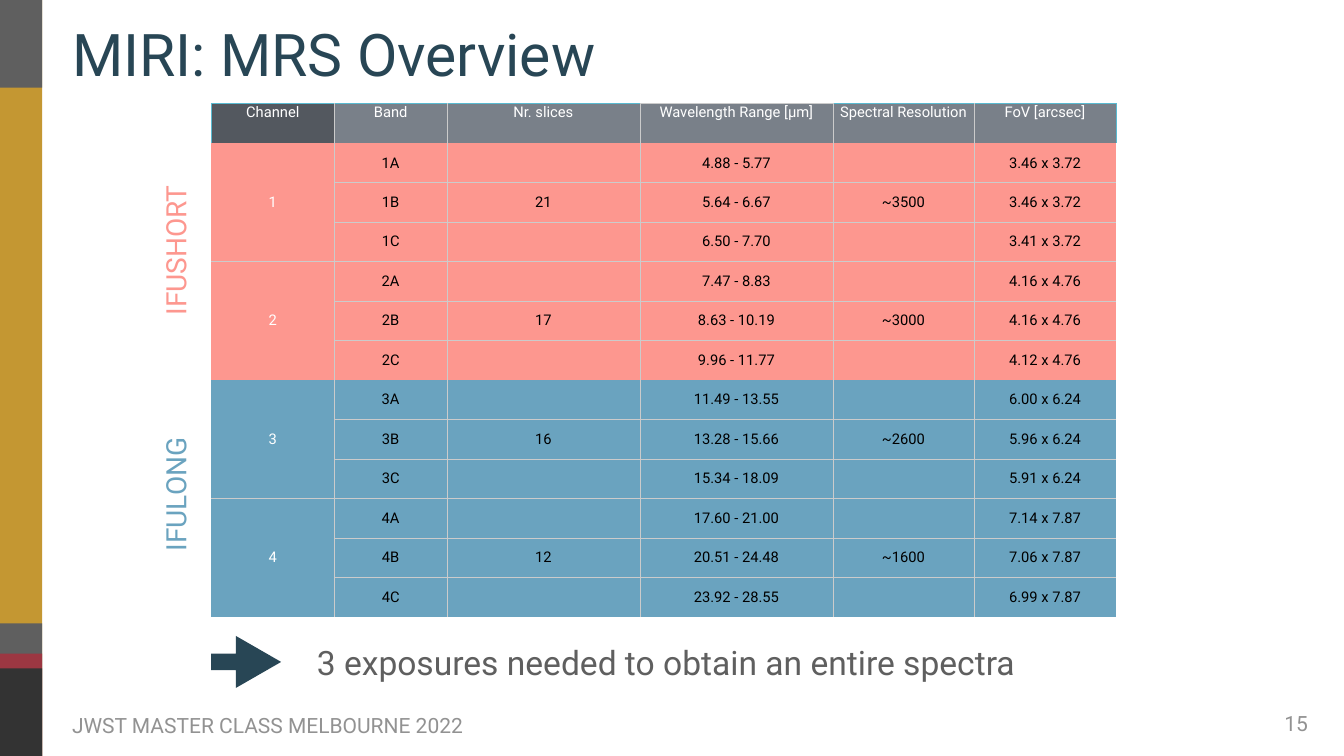
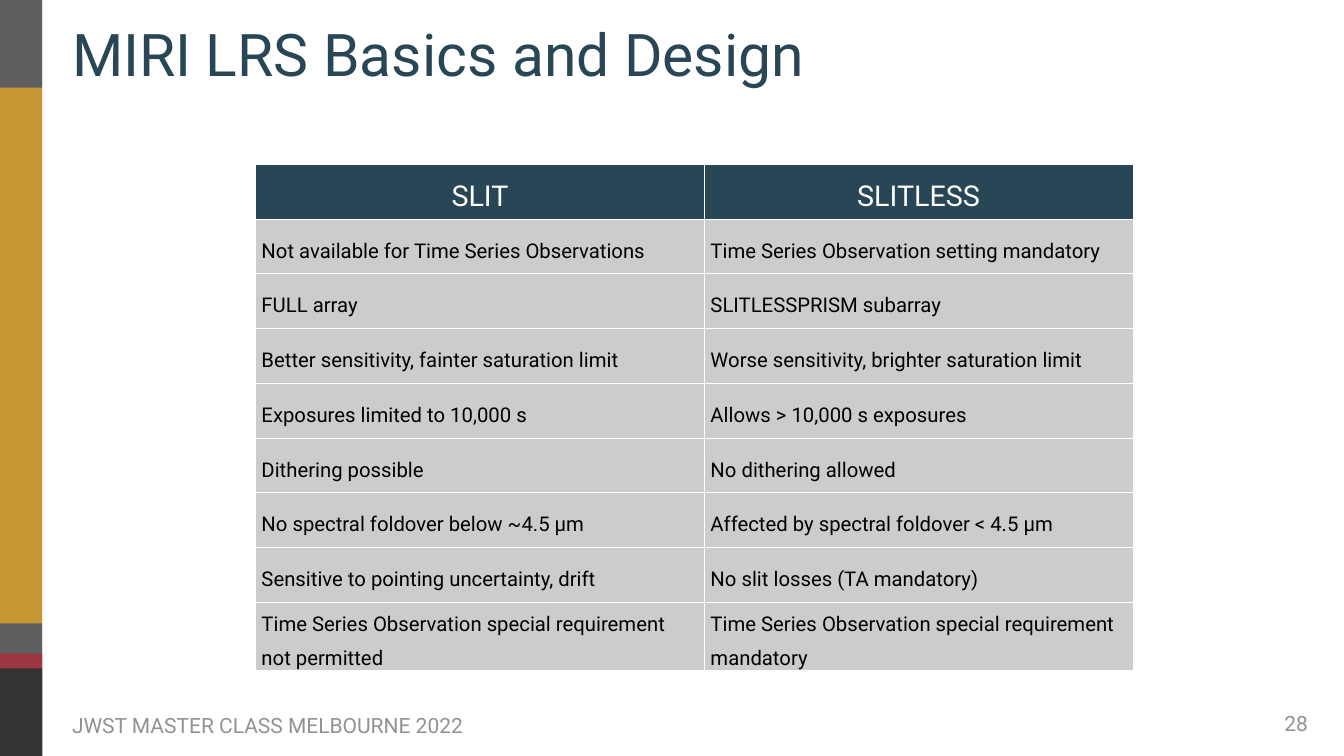
"""Build two MIRI spectroscopy slides with shared bands, title and footer."""
from dataclasses import dataclass
from typing import Callable, Optional

from lxml.etree import SubElement
from pptx import Presentation
from pptx.dml.color import RGBColor
from pptx.enum.shapes import MSO_SHAPE
from pptx.enum.text import MSO_ANCHOR, MSO_AUTO_SIZE, PP_ALIGN
from pptx.oxml.ns import qn
from pptx.util import Cm, Pt

FONT = "Roboto"
COLORS = {
    "white": "FFFFFF", "black": "000000", "navy": "284655", "gold": "C49732",
    "grey": "5F5F5F", "red": "9C3742", "charcoal": "333333", "muted": "929292",
    "header": "798089", "channel_header": "53585F", "short": "FD978F",
    "long": "6AA3BF", "grid": "CBCBCB", "header_edge": "59BAD1", "cell": "CCCCCC",
}
FOOTER = "JWST MASTER CLASS MELBOURNE 2022"
MRS_HEADINGS = ("Channel", "Band", "Nr. slices", "Wavelength Range [μm]",
                "Spectral Resolution", "FoV [arcsec]")
LRS_ROWS = (
    ("SLIT", "SLITLESS"),
    ("Not available for Time Series Observations", "Time Series Observation setting mandatory"),
    ("FULL array", "SLITLESSPRISM subarray"),
    ("Better sensitivity, fainter saturation limit", "Worse sensitivity, brighter saturation limit"),
    ("Exposures limited to 10,000 s", "Allows > 10,000 s exposures"),
    ("Dithering possible", "No dithering allowed"),
    ("No spectral foldover below ~4.5 µm", "Affected by spectral foldover < 4.5 µm"),
    ("Sensitive to pointing uncertainty, drift", "No slit losses (TA mandatory)"),
    ("Time Series Observation special requirement not permitted",
     "Time Series Observation special requirement mandatory"),
)


@dataclass(frozen=True)
class Box:
    """Position and size in centimetres."""
    left: float
    top: float
    width: float
    height: float

    def lengths(self) -> tuple:
        """Return the four values as lengths."""
        return Cm(self.left), Cm(self.top), Cm(self.width), Cm(self.height)


@dataclass(frozen=True)
class Band:
    """One coloured part of the left edge."""
    color: str
    top: float
    height: float


@dataclass(frozen=True)
class Label:
    """A single line of free text."""
    text: str
    box: Box
    size: float
    color: str
    align: PP_ALIGN = PP_ALIGN.LEFT
    anchor: MSO_ANCHOR = MSO_ANCHOR.MIDDLE
    rotation: float = 0


@dataclass(frozen=True)
class Channel:
    """One spectrometer channel with its three bands."""
    number: int
    detector: str
    slices: str
    resolution: str
    wavelengths: tuple
    fields: tuple


@dataclass(frozen=True)
class CellStyle:
    """Look of a table cell, with margins in centimetres."""
    fill: str
    color: str
    size: float
    align: PP_ALIGN = PP_ALIGN.CENTER
    anchor: MSO_ANCHOR = MSO_ANCHOR.MIDDLE
    side: float = 0.18
    edge: float = 0
    spacing: Optional[float] = None


BANDS = (
    Band("gold", 0, 38.1), Band("grey", 31.42, 6.68), Band("red", 32.94, 5.16),
    Band("charcoal", 33.68, 4.42), Band("grey", 0, 4.42),
)
CHANNELS = (
    Channel(1, "short", "21", "~3500", ("4.88 - 5.77", "5.64 - 6.67", "6.50 - 7.70"),
            ("3.46 x 3.72", "3.46 x 3.72", "3.41 x 3.72")),
    Channel(2, "short", "17", "~3000", ("7.47 - 8.83", "8.63 - 10.19", "9.96 - 11.77"),
            ("4.16 x 4.76", "4.16 x 4.76", "4.12 x 4.76")),
    Channel(3, "long", "16", "~2600", ("11.49 - 13.55", "13.28 - 15.66", "15.34 - 18.09"),
            ("6.00 x 6.24", "5.96 x 6.24", "5.91 x 6.24")),
    Channel(4, "long", "12", "~1600", ("17.60 - 21.00", "20.51 - 24.48", "23.92 - 28.55"),
            ("7.14 x 7.87", "7.06 x 7.87", "6.99 x 7.87")),
)
MRS_LABELS = (
    Label("IFUSHORT", Box(5.21, 11.51, 7.24, 2.24), 40, "short", PP_ALIGN.CENTER, rotation=270),
    Label("IFULONG", Box(5.49, 23.8, 6.68, 2.24), 40, "long", PP_ALIGN.CENTER, rotation=270),
    Label("3 exposures needed to obtain an entire spectra",
          Box(15.82, 32.05, 36.09, 2.62), 48, "grey"),
)


def rgb(name: str) -> RGBColor:
    """Look up a palette colour."""
    return RGBColor.from_string(COLORS[name])


def add_text(paragraph, text: str, size: float, color: str, align: PP_ALIGN) -> None:
    """Add one formatted run to a paragraph."""
    paragraph.alignment = align
    run = paragraph.add_run()
    run.text = text
    run.font.name, run.font.size, run.font.bold = FONT, Pt(size), False
    run.font.color.rgb = rgb(color)


def set_frame(frame, anchor: MSO_ANCHOR, wrap: bool, fit: MSO_AUTO_SIZE) -> None:
    """Set the margins and flow of a text frame."""
    frame.margin_left = frame.margin_right = frame.margin_top = frame.margin_bottom = Cm(0.15)
    frame.vertical_anchor, frame.word_wrap, frame.auto_size = anchor, wrap, fit


def add_label(slide, label: Label) -> None:
    """Draw a free text label."""
    text_area = slide.shapes.add_textbox(*label.box.lengths())
    text_area.rotation = label.rotation
    set_frame(text_area.text_frame, label.anchor, False, MSO_AUTO_SIZE.SHAPE_TO_FIT_TEXT)
    add_text(text_area.text_frame.paragraphs[0], label.text, label.size, label.color, label.align)


def add_solid(shapes, preset: MSO_SHAPE, box: Box, color: str):
    """Draw a plain filled shape without outline."""
    solid = shapes.add_shape(preset, *box.lengths())
    solid.shadow.inherit = False
    solid.fill.solid()
    solid.fill.fore_color.rgb = rgb(color)
    solid.line.fill.background()
    return solid


def start_slide(deck, heading: str, number: int):
    """Add a slide with its bands, footer, number and title."""
    slide = deck.slides.add_slide(deck.slide_layouts[5])
    edge = slide.shapes.add_group_shape()
    for band in BANDS:
        add_solid(edge.shapes, MSO_SHAPE.RECTANGLE,
                  Box(-0.03, band.top, 2.16, band.height), band.color)
    add_label(slide, Label(FOOTER, Box(3.48, 35.74, 21.23, 1.57), 30, "muted"))
    add_label(slide, Label(str(number), Box(64.54, 35.66, 1.57, 1.73), 30, "muted",
                           PP_ALIGN.CENTER, MSO_ANCHOR.TOP))
    title = slide.shapes.title
    title.left, title.top, title.width, title.height = Box(3.48, 0.48, 53.64, 4.42).lengths()
    set_frame(title.text_frame, MSO_ANCHOR.MIDDLE, True, MSO_AUTO_SIZE.NONE)
    add_text(title.text_frame.paragraphs[0], heading, 84, "navy", PP_ALIGN.LEFT)
    return slide


def add_grid(slide, left: float, top: float, widths: tuple, row_height: float, row_count: int):
    """Add an unbanded table with the given columns and equal rows."""
    box = Box(left, top, sum(widths), row_height * row_count)
    grid = slide.shapes.add_table(row_count, len(widths), *box.lengths()).table
    grid.first_row = grid.horz_banding = False
    for column, width in zip(grid.columns, widths):
        column.width = Cm(width)
    for row in grid.rows:
        row.height = Cm(row_height)
    return grid


def set_borders(cell, colors: dict) -> None:
    """Draw each cell side in its colour, or hide it."""
    properties = cell._tc.get_or_add_tcPr()
    for side, color in colors.items():
        line = SubElement(properties, qn(f"a:ln{side}"), w=str(Pt(1)))
        if color is None:
            SubElement(line, qn("a:noFill"))
        else:
            SubElement(SubElement(line, qn("a:solidFill")), qn("a:srgbClr"), val=COLORS[color])


def fill_cell(cell, text: str, style: CellStyle, borders: dict) -> None:
    """Format a table cell and write its text."""
    set_borders(cell, borders)
    cell.fill.solid()
    cell.fill.fore_color.rgb = rgb(style.fill)
    cell.vertical_anchor = style.anchor
    cell.margin_left = cell.margin_right = Cm(style.side)
    cell.margin_top = cell.margin_bottom = Cm(style.edge)
    if text:
        paragraph = cell.text_frame.paragraphs[0]
        if style.spacing:
            paragraph.line_spacing = Pt(style.spacing)
        add_text(paragraph, text, style.size, style.color, style.align)


def fill_grid(grid, rows: list, style_at: Callable, borders_at: Callable) -> None:
    """Fill every cell by the rules for style and borders."""
    for r, texts in enumerate(rows):
        for c, text in enumerate(texts):
            cell = grid.cell(r, c)
            span = cell.span_height if cell.is_merge_origin else 1
            fill_cell(cell, text, style_at(r, c), borders_at(r, c, span))


def mrs_rows() -> list:
    """List the table rows, with shared values on the middle band."""
    rows = [MRS_HEADINGS]
    for channel in CHANNELS:
        for i, band in enumerate("ABC"):
            rows.append((str(channel.number) if i == 0 else "", f"{channel.number}{band}",
                         channel.slices if i == 1 else "", channel.wavelengths[i],
                         channel.resolution if i == 1 else "", channel.fields[i]))
    return rows


def mrs_style(row: int, column: int) -> CellStyle:
    """Style a cell by its detector."""
    if row == 0:
        return CellStyle("header" if column else "channel_header", "white", 21,
                         anchor=MSO_ANCHOR.TOP)
    return CellStyle(CHANNELS[(row - 1) // 3].detector, "black" if column else "white", 21)


def mrs_borders(row: int, column: int, span: int) -> dict:
    """Give the inner grid, left open below the header and between detectors."""
    def across(edge: int) -> Optional[str]:
        """Colour the horizontal line above a row."""
        if edge == 0:
            return "grid" if column == 3 else "header_edge"
        return None if edge in (1, 7, 13) else "grid"

    def down(edge: int) -> Optional[str]:
        """Colour the vertical line left of a column."""
        if 0 < edge < len(MRS_HEADINGS):
            return "grid"
        return "header_edge" if row == 0 else None

    return {"L": down(column), "R": down(column + 1), "T": across(row), "B": across(row + span)}


def lrs_style(row: int, column: int) -> CellStyle:
    """Style the heading row and the comparison rows."""
    if row == 0:
        return CellStyle("navy", "white", 41, side=0.03, edge=0.03, spacing=63)
    return CellStyle("cell", "black", 29, PP_ALIGN.LEFT, side=0.3, edge=0.03, spacing=48)


def lrs_borders(row: int, column: int, span: int) -> dict:
    """Give white lines on all sides."""
    return dict.fromkeys("LRTB", "white")


def build_mrs(deck) -> None:
    """Build the channel overview slide."""
    slide = start_slide(deck, "MIRI: MRS Overview", 15)
    rows = mrs_rows()
    grid = add_grid(slide, 10.64, 5.23, (6.22, 5.66, 9.73, 9.73, 7.11, 7.16), 1.99, len(rows))
    for first in range(1, len(rows), 3):
        grid.cell(first, 0).merge(grid.cell(first + 2, 0))
    fill_grid(grid, rows, mrs_style, mrs_borders)
    for label in MRS_LABELS:
        add_label(slide, label)
    arrow = add_solid(slide.shapes, MSO_SHAPE.RIGHT_ARROW, Box(10.64, 32.05, 3.53, 2.62), "navy")
    arrow.adjustments[0], arrow.adjustments[1] = 0.32, 0.87


def build_lrs(deck) -> None:
    """Build the slit and slitless comparison slide."""
    slide = start_slide(deck, "MIRI LRS Basics and Design", 28)
    grid = add_grid(slide, 12.88, 8.28, (22.63, 21.59), 2.76, len(LRS_ROWS))
    fill_grid(grid, LRS_ROWS, lrs_style, lrs_borders)


def main() -> None:
    """Build and save the deck."""
    deck = Presentation()
    deck.slide_width, deck.slide_height = Cm(67.74), Cm(38.1)
    build_mrs(deck)
    build_lrs(deck)
    deck.save("out.pptx")


if __name__ == "__main__":
    main()
